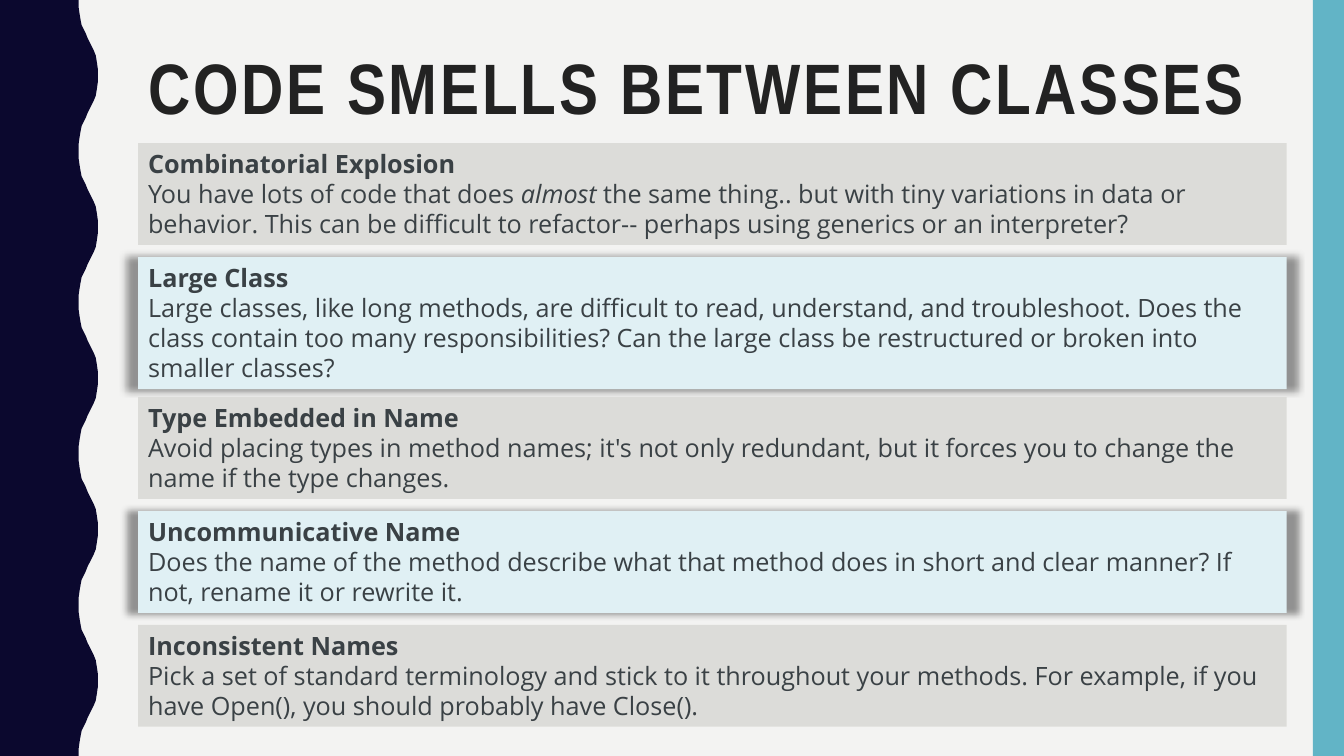
from lxml import etree
from pptx import Presentation
from pptx import util as u
from pptx.dml.color import RGBColor
from pptx.enum import shapes, text
from pptx.oxml.ns import qn

SHEET, NAVY, TEAL = "F3F3F2", "0B082E", "62B4C6"
GREY, PALE, INK, BLACK = "DCDCD9", "E0F0F4", "3A4145", "222222"

# Half a wave: (x, y) from trough to crest
HALF_WAVE = [(0.78, 0), (0.78, 0.07), (0.79, 0.14), (0.8, 0.2), (0.81, 0.25),
             (0.83, 0.29), (0.85, 0.33), (0.87, 0.38), (0.89, 0.42), (0.91, 0.46),
             (0.93, 0.5), (0.95, 0.55), (0.96, 0.61), (0.97, 0.68), (0.97, 0.75)]
PERIOD = 1.5

# Each smell: top, height, heading, paragraphs of (text, italic) runs
SMELLS = [
    (1.42, 1.01, "Combinatorial Explosion",
     [[("You have lots of code that does ", False), ("almost", True),
       (" the same thing.. but with tiny variations in data or behavior. This can be "
        "difficult to refactor-- perhaps using generics or an interpreter?", False)]]),
    (2.55, 1.31, "Large Class",
     [[("Large classes, like long methods, are difficult to read, understand, and "
        "troubleshoot. Does the class contain too many responsibilities? Can the large "
        "class be restructured or broken into", False)],
      [("smaller classes?", False)]]),
    (3.94, 1.01, "Type Embedded in Name",
     [[("Avoid placing types in method names; it's not only redundant, but it forces "
        "you to change the name if the type changes.", False)]]),
    (5.07, 1.01, "Uncommunicative Name",
     [[("Does the name of the method describe what that method does in short and clear "
        "manner? If not, rename it or rewrite it.", False)]]),
    (6.2, 1.01, "Inconsistent Names",
     [[("Pick a set of standard terminology and stick to it throughout your methods. For "
        "example, if you have Open(), you should probably have Close().", False)]]),
]


def rgb(value):
    return RGBColor.from_string(value)


class Deck:
    heading = {"name": "Arial Narrow", "size": u.Pt(51), "bold": True}
    body = {"name": "Open Sans", "size": u.Pt(18)}

    def __init__(self, slide):
        self.s = slide

    def paint(self, sp, fill):
        sp.shadow.inherit = False
        sp.fill.solid()
        sp.fill.fore_color.rgb = rgb(fill)
        sp.line.fill.background()
        return sp

    def rect(self, x, y, w, h, fill):
        box = [u.Inches(v) for v in (x, y, w, h)]
        return self.paint(self.s.shapes.add_shape(shapes.MSO_SHAPE.RECTANGLE, *box), fill)

    def outline(self, points, fill):
        pts = [(u.Inches(x), u.Inches(y)) for x, y in points]
        fb = self.s.shapes.build_freeform(*pts[0])
        fb.add_line_segments(pts[1:], close=True)
        return self.paint(fb.convert_to_shape(), fill)

    def run(self, p, words, color, style, **extra):
        r = p.add_run()
        r.text = words
        for key, value in {**style, **extra}.items():
            setattr(r.font, key, value)
        r.font.color.rgb = rgb(color)
        return r

    def title(self, x, y, w, h, words):
        sp = self.s.shapes.add_textbox(*[u.Inches(v) for v in (x, y, w, h)])
        tf = sp.text_frame
        tf.word_wrap = True
        tf.margin_top = u.Inches(0.1)
        p = tf.paragraphs[0]
        p.line_spacing = 0.9
        r = self.run(p, words, BLACK, self.heading)
        r.font._element.set("spc", "200")

    def glow(self, sp):
        effects = sp._element.spPr.find(qn("a:effectLst"))
        shadow = etree.SubElement(effects, qn("a:outerShdw"), blurRad=str(u.Pt(5)),
                                  sx="102000", sy="102000", algn="ctr", rotWithShape="0")
        color = etree.SubElement(shadow, qn("a:srgbClr"), val="000000")
        etree.SubElement(color, qn("a:alpha"), val="40000")

    def card(self, y, h, name, paragraphs, raised):
        sp = self.rect(1.37, y, 11.39, h, PALE if raised else GREY)
        if raised:
            self.glow(sp)
        tf = sp.text_frame
        tf.word_wrap = True
        tf.vertical_anchor = text.MSO_ANCHOR.TOP
        p = tf.paragraphs[0]
        p.alignment = text.PP_ALIGN.LEFT
        self.run(p, name, INK, self.body, bold=True)
        for runs in paragraphs:
            p = tf.add_paragraph()
            p.alignment = text.PP_ALIGN.LEFT
            for words, italic in runs:
                self.run(p, words, INK, self.body, italic=italic)


def main():
    prs = Presentation()
    prs.slide_width, prs.slide_height = u.Inches(13.33), u.Inches(7.5)
    s = prs.slides.add_slide(prs.slide_layouts[6])
    s.background.fill.solid()
    s.background.fill.fore_color.rgb = rgb(SHEET)
    deck = Deck(s)

    # Wavy left edge and right band
    wave = HALF_WAVE + [(x, PERIOD - y) for x, y in HALF_WAVE[-2::-1]]
    edge = [(x, y + i * PERIOD) for i in range(5) for x, y in wave]
    deck.outline([(0, 0)] + edge + [(0, 7.5)], NAVY)
    deck.rect(13.02, 0, 0.31, 7.5, TEAL)

    # Title and cards, every second card raised
    deck.title(1.37, 0.42, 11.13, 0.95, "CODE SMELLS BETWEEN CLASSES")
    for i, smell in enumerate(SMELLS):
        deck.card(*smell, raised=i % 2 == 1)

    prs.save("out.pptx")


if __name__ == "__main__":
    main()
